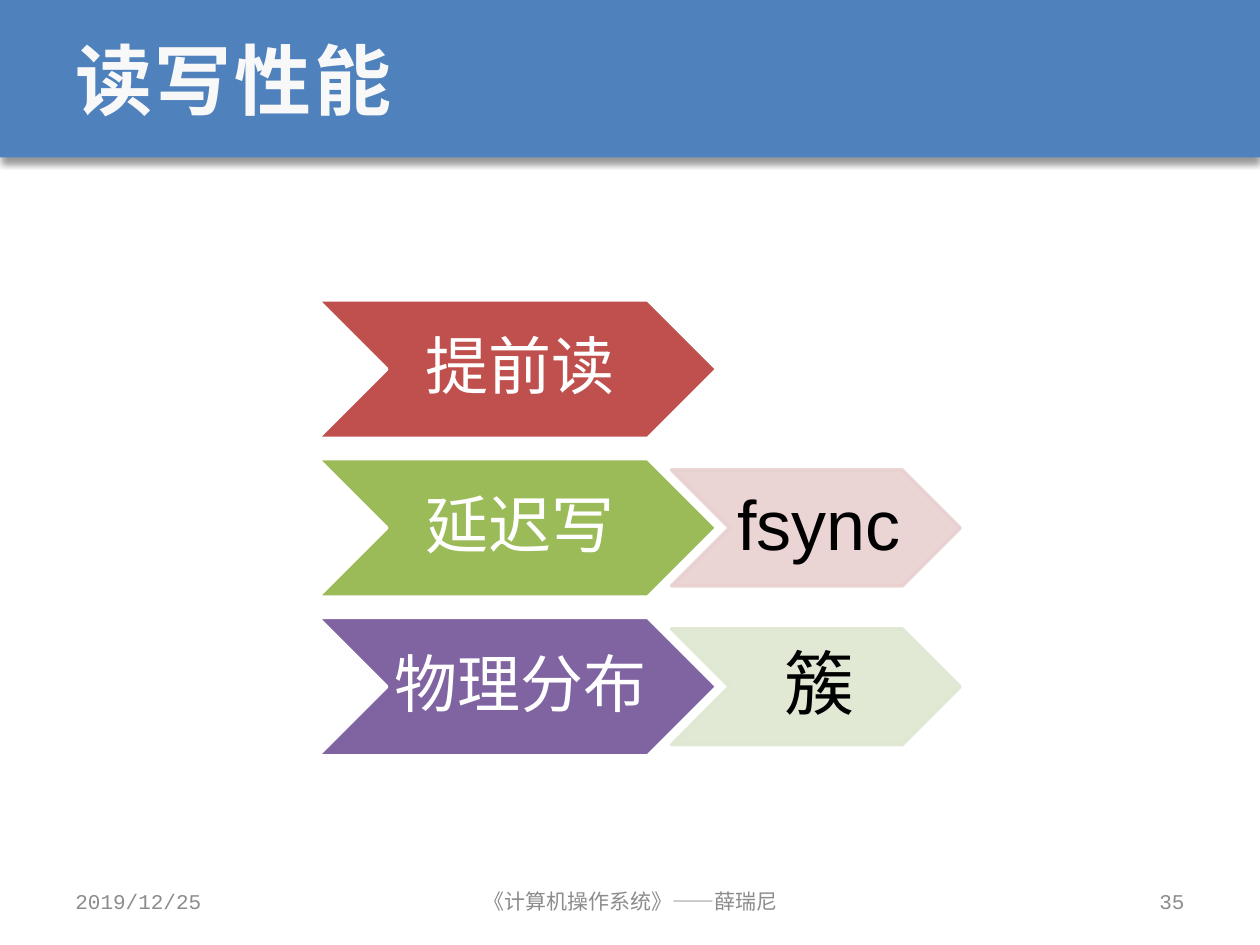
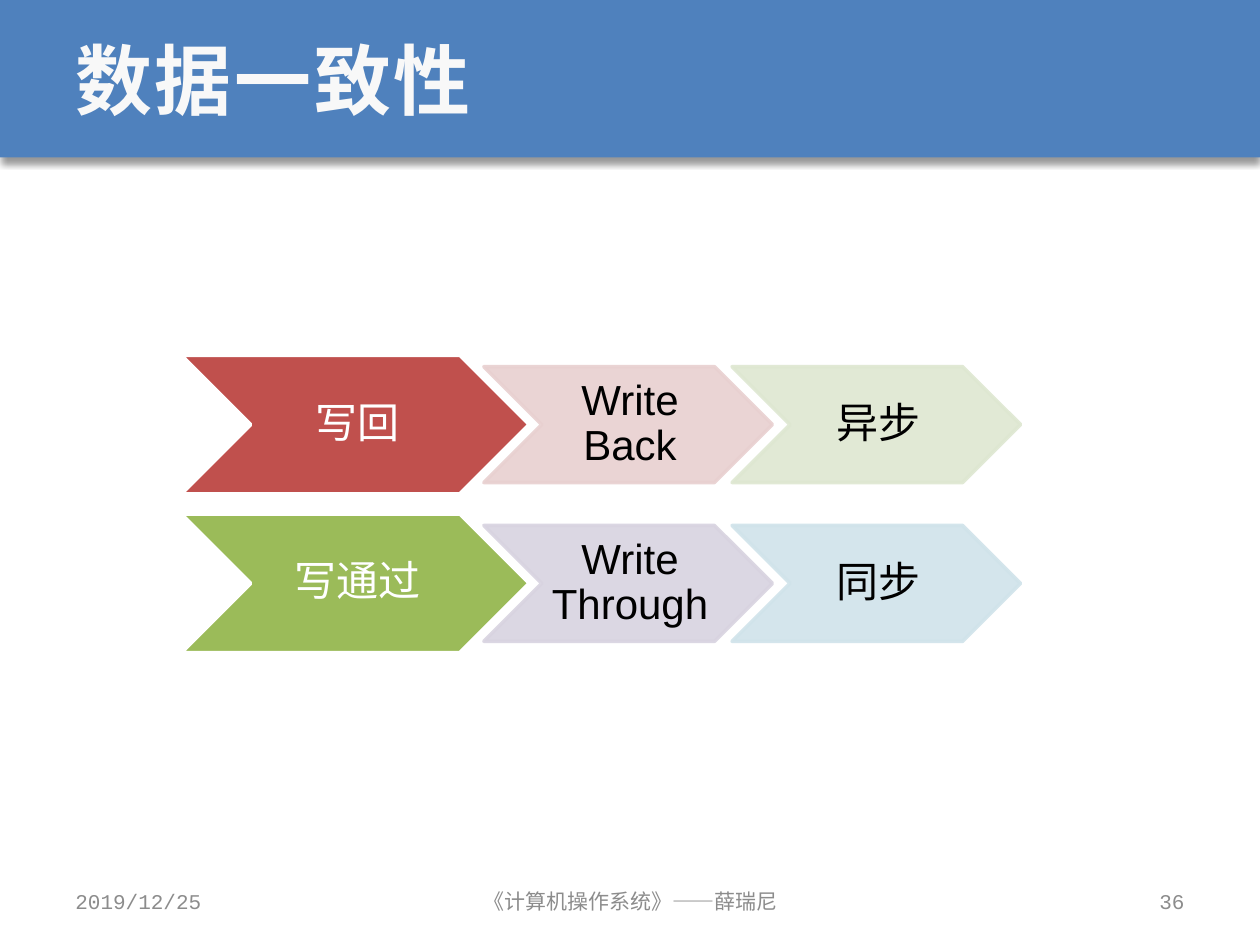
"""Build two slides of chevron rows on file read/write speed and data consistency."""
from dataclasses import dataclass

from lxml import etree
from pptx import Presentation
from pptx.dml.color import RGBColor
from pptx.enum.shapes import MSO_SHAPE
from pptx.enum.text import MSO_ANCHOR, PP_ALIGN
from pptx.oxml.ns import qn
from pptx.util import Inches, Pt

RECT, CHEVRON = MSO_SHAPE.RECTANGLE, MSO_SHAPE.CHEVRON
MIDDLE = MSO_ANCHOR.MIDDLE
LEFT, CENTER, RIGHT = PP_ALIGN.LEFT, PP_ALIGN.CENTER, PP_ALIGN.RIGHT


@dataclass(frozen=True)
class Theme:
    """Colours, fonts and type sizes."""
    band: str = "4F81BD"
    title: str = "F8F8F8"
    foot: str = "8C8C8C"
    white: str = "FFFFFF"
    black: str = "000000"
    red: str = "C0504D"
    green: str = "9BBB59"
    purple: str = "8064A2"
    rose: str = "E8D0D0"
    sage: str = "DEE7D1"
    lilac: str = "D8D3E0"
    sky: str = "D0E3EA"
    mono: str = "Courier New"
    sans: str = "Arial"
    title_size: int = 44
    foot_size: int = 12


T = Theme()

DATE = "2019/12/25"
COURSE = "《计算机操作系统》——薛瑞尼"
SLIDES = [
    {"title": "读写性能", "page": 35, "left": 2.52, "mid": 4.19,
     "lead_w": 3.17, "sizes": (36, 40), "inset": (0.05, 0.03),
     "rows": [
         [("提前读", T.red)],
         [("延迟写", T.green), ("fsync", T.rose)],
         [("物理分布", T.purple), ("簇", T.sage)],
     ]},
    {"title": "数据一致性", "page": 36, "left": 1.44, "mid": 4.0,
     "lead_w": 2.76, "sizes": (24, 24), "inset": (0.03, 0.02),
     "rows": [
         [("写回", T.red), ("Write Back", T.rose), ("异步", T.sage)],
         [("写通过", T.green), ("Write Through", T.lilac), ("同步", T.sky)],
     ]},
]

LEAD_H, STEP_H, STEP_W = 1.1, 0.92, 2.29
PITCH = 1.26
LEAD_LAP, STEP_LAP = 0.36, 0.32


def rgb(code):
    """Turn a hex code into a colour."""
    return RGBColor.from_string(code)


def write(shape, text, font, size, color, align, bold=False):
    """Set one styled paragraph and return its run."""
    frame = shape.text_frame
    frame.word_wrap = True
    frame.vertical_anchor = MIDDLE
    frame.text = text
    para = frame.paragraphs[0]
    para.alignment = align
    run = para.runs[0]
    run.font.name, run.font.size, run.font.bold = font, Pt(size), bold
    run.font.color.rgb = rgb(color)
    return run


def add_label(slide, box, *style, **extra):
    """Add a text box with one styled paragraph."""
    shape = slide.shapes.add_textbox(*map(Inches, box))
    return write(shape, *style, **extra)


def add_alpha(fill, percent):
    """Make a solid fill partly clear."""
    etree.SubElement(fill[0], qn("a:alpha"), val=str(percent * 1000))


def add_frame(slide, title, page):
    """Add the title band, title and footer."""
    band = slide.shapes.add_shape(RECT, 0, 0, Inches(10), Inches(1.25))
    band.fill.solid()
    band.fill.fore_color.rgb = rgb(T.band)
    band.line.fill.background()
    band.shadow.inherit = False
    effects = band._element.spPr.find(qn("a:effectLst"))
    shade = etree.SubElement(effects, qn("a:outerShdw"), blurRad=str(Pt(4)),
                             dist=str(Pt(3)), dir="5400000", rotWithShape="0")
    etree.SubElement(shade, qn("a:srgbClr"), val=T.black)
    add_alpha(shade, 40)

    run = add_label(slide, (0.5, 0, 9, 1.25), title, T.mono,
                    T.title_size, T.title, LEFT, bold=True)
    run.font._element.set("spc", "150")
    for left, width, text, align in (
            (0.5, 2.33, DATE, LEFT),
            (3.42, 3.17, COURSE, CENTER),
            (7.17, 2.33, str(page), RIGHT)):
        add_label(slide, (left, 6.95, width, 0.4), text, T.mono,
                  T.foot_size, T.foot, align)


def add_chevron(slide, box, text, color, size, inset, lead):
    """Add a strong lead chevron or a pale step chevron."""
    shape = slide.shapes.add_shape(CHEVRON, *map(Inches, box))
    shape.shadow.inherit = False
    shape.fill.solid()
    shape.fill.fore_color.rgb = rgb(color)
    shape.line.width = Pt(2)
    shape.line.color.rgb = rgb(T.white if lead else color)
    if not lead:
        for fill in list(shape._element.spPr.iter(qn("a:solidFill"))):
            add_alpha(fill, 90)
    write(shape, text, T.sans, size, T.white if lead else T.black, CENTER)
    frame = shape.text_frame
    frame.margin_left, frame.margin_right = Inches(inset[0]), 0
    frame.margin_top = frame.margin_bottom = Inches(inset[1])
    frame.paragraphs[0].line_spacing = 0.9


def add_rows(slide, data):
    """Stack the rows around the middle height, left to right in each."""
    rows = data["rows"]
    for i, row in enumerate(rows):
        mid = data["mid"] + (i - (len(rows) - 1) / 2) * PITCH
        left = data["left"]
        for j, (text, color) in enumerate(row):
            lead = j == 0
            width, height, lap = ((data["lead_w"], LEAD_H, LEAD_LAP) if lead
                                  else (STEP_W, STEP_H, STEP_LAP))
            box = (left, mid - height / 2, width, height)
            size = data["sizes"][0 if lead else 1]
            add_chevron(slide, box, text, color, size, data["inset"], lead)
            left += width - lap


def main():
    """Build and save the deck."""
    deck = Presentation()
    deck.slide_width, deck.slide_height = Inches(10), Inches(7.5)
    for data in SLIDES:
        slide = deck.slides.add_slide(deck.slide_layouts[6])
        add_frame(slide, data["title"], data["page"])
        add_rows(slide, data)
    deck.save("out.pptx")


if __name__ == "__main__":
    main()
